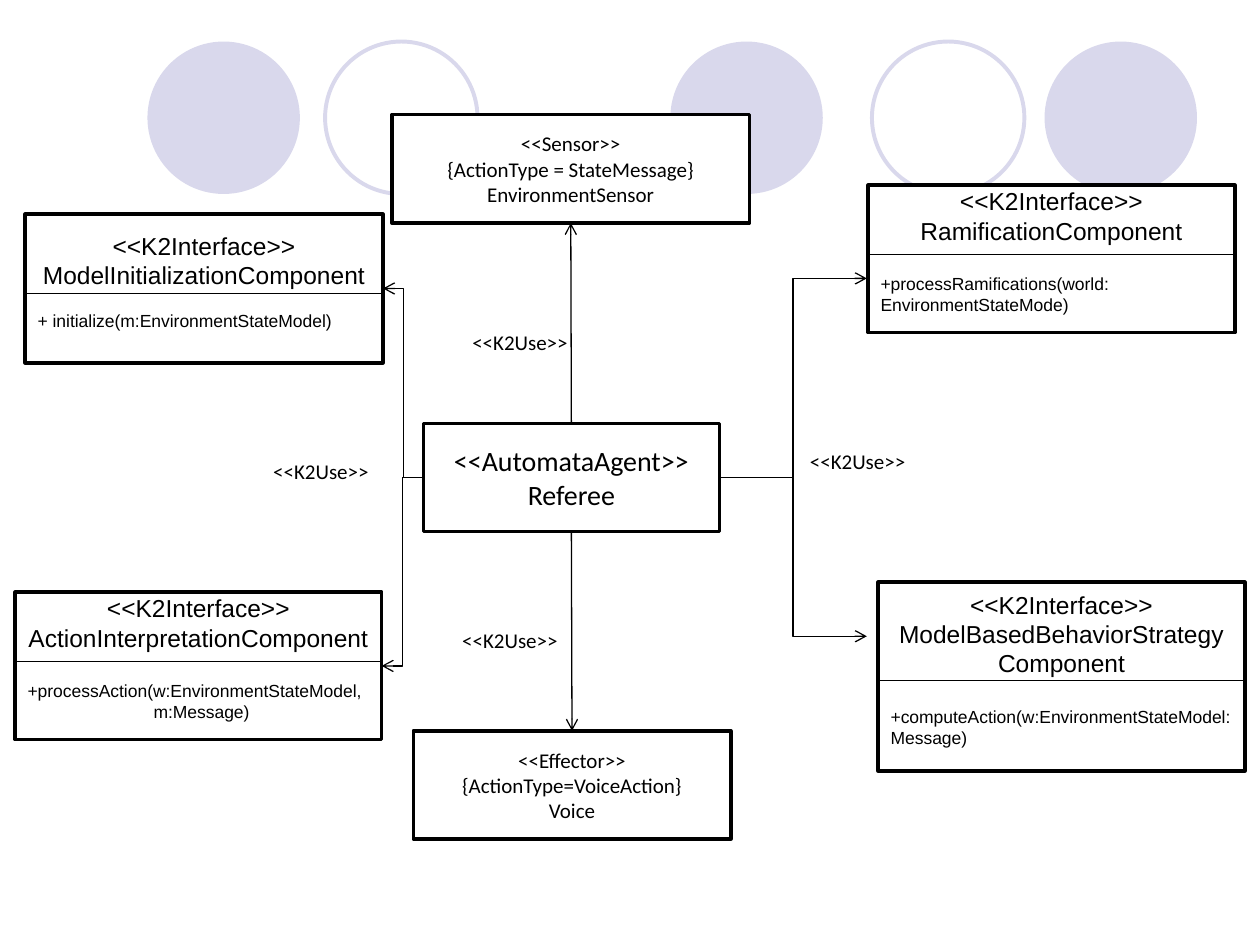
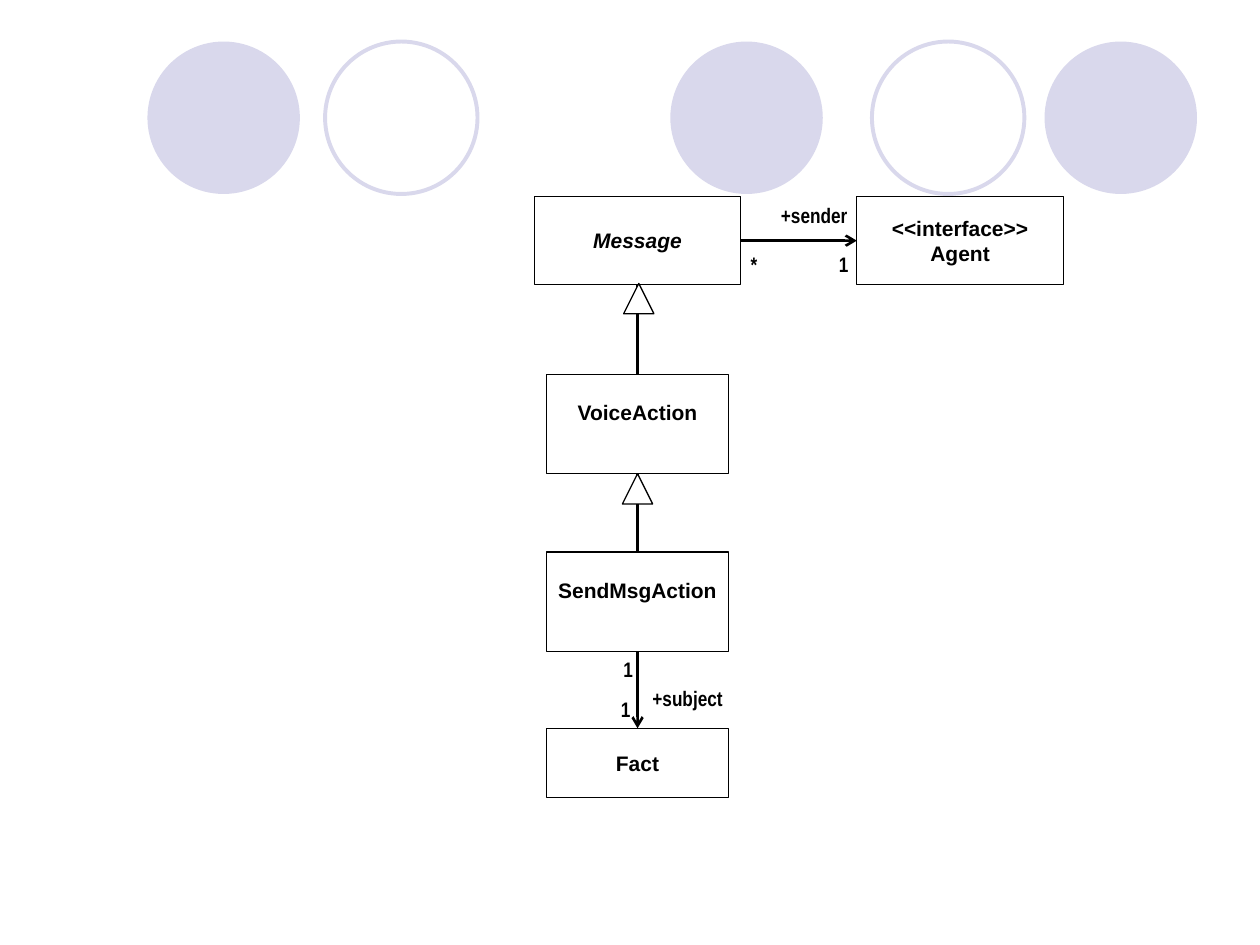
from lxml import etree
from pptx import Presentation
from pptx.dml.color import RGBColor
from pptx.enum.shapes import MSO_CONNECTOR, MSO_SHAPE
from pptx.enum.text import MSO_ANCHOR, PP_ALIGN
from pptx.oxml.ns import qn
from pptx.util import Pt

PX = 9144  # 100 px to the inch
BLACK = RGBColor(0, 0, 0)
WHITE = RGBColor(255, 255, 255)
LILAC = RGBColor(0xD9, 0xD8, 0xEC)
OVAL, RECT = MSO_SHAPE.OVAL, MSO_SHAPE.RECTANGLE
TRIANGLE = MSO_SHAPE.ISOSCELES_TRIANGLE
STRAIGHT, ELBOW = MSO_CONNECTOR.STRAIGHT, MSO_CONNECTOR.ELBOW
LEFT, CENTER = PP_ALIGN.LEFT, PP_ALIGN.CENTER
TOP, MIDDLE = MSO_ANCHOR.TOP, MSO_ANCHOR.MIDDLE
NORTH, WEST, SOUTH, EAST = range(4)


def box(page, spot, lines, font, size, width, kind=RECT):
    """Add a white shape with a black outline and centred lines of text."""
    shape = page.shapes.add_shape(kind, *[v * PX for v in spot])
    shape.shadow.inherit = False
    shape.fill.solid()
    shape.fill.fore_color.rgb = WHITE
    shape.line.color.rgb = BLACK
    shape.line.width = Pt(width)
    frame = shape.text_frame
    frame.vertical_anchor = MIDDLE
    frame.text = "\n".join(lines)
    for para in frame.paragraphs:
        para.alignment = CENTER
        para.font.name = font
        para.font.size = Pt(size)
        para.font.color.rgb = BLACK
    return shape


def wire(page, kind, start, end, width=0.75, arrow=True):
    """Join two ends, each a (shape, side) pair or an (x, y) point in px."""
    line = page.shapes.add_connector(kind, 0, 0, 0, 0)
    if isinstance(start[0], int):
        line.begin_x, line.begin_y = [v * PX for v in start]
    else:
        line.begin_connect(*start)
    if isinstance(end[0], int):
        line.end_x, line.end_y = [v * PX for v in end]
    else:
        line.end_connect(*end)
    line.line.color.rgb = BLACK
    line.line.width = Pt(width)
    if arrow:
        etree.SubElement(line.line._get_or_add_ln(), qn("a:tailEnd"), type="arrow")
    etree.SubElement(line._element.spPr, qn("a:effectLst"))


deck = Presentation()
deck.slide_width, deck.slide_height = 1000 * PX, 750 * PX
layout = deck.slide_layouts[6]
for holder in list(layout.placeholders):
    holder.element.getparent().remove(holder.element)
agents = deck.slides.add_slide(layout)
classes = deck.slides.add_slide(layout)

# Row of circles, moved to the shared layout
for x, filled in [(532, True), (829, True), (117, True), (692, False), (258, False)]:
    disc = agents.shapes.add_shape(OVAL, x * PX, 33 * PX, 121 * PX, 121 * PX)
    disc.shadow.inherit = False
    if filled:
        disc.fill.solid()
        disc.fill.fore_color.rgb = LILAC
        disc.line.fill.background()
    else:
        disc.fill.background()
        disc.line.color.rgb = LILAC
        disc.line.width = Pt(2.25)
    layout.shapes.element.append(disc.element)

# Slide 1: the referee agent and its components
sensor = box(agents, (311, 91, 284, 86),
             ["<<Sensor>>", "{ActionType = StateMessage}", "EnvironmentSensor"],
             "Calibri", 12, 2)
referee = box(agents, (336, 336, 235, 86), ["<<AutomataAgent>>", "Referee"],
              "Calibri", 16, 2)
voice = box(agents, (328, 580, 252, 86),
            ["<<Effector>>", "{ActionType=VoiceAction}", "Voice"],
            "Calibri", 12, 2)

# Each part: spot, top inset, rule height, gap in points, name, method
parts = [
    ((20, 170, 284, 118), 13, 233, 11.5, ["ModelInitializationComponent"],
     ["+ initialize(m:EnvironmentStateModel)"]),
    ((12, 470, 291, 117), 1, 525, 16, ["ActionInterpretationComponent"],
     ["+processAction(w:EnvironmentStateModel,", "m:Message)"]),
    ((689, 147, 291, 117), 1, 202, 16, ["RamificationComponent"],
     ["+processRamifications(world: EnvironmentStateMode)"]),
    ((697, 462, 291, 150), 6, 540, 16, ["ModelBasedBehaviorStrategy", "Component"],
     ["+computeAction(w:EnvironmentStateModel: Message)"]),
]
cards = []
for spot, inset, rule, gap, name, method in parts:
    head = ["<<K2Interface>>"] + name
    card = box(agents, spot, head + method, "Arial", 14, 2)
    frame = card.text_frame
    frame.vertical_anchor = TOP
    frame.margin_top = inset * PX
    rows = frame.paragraphs[len(head):]
    rows[0].space_before = Pt(gap)
    for row in rows:
        row.alignment = LEFT
        row.font.size = Pt(10)
    for row in rows[1:]:
        row._p.get_or_add_pPr().set("marL", str(100 * PX))
    x, y, w, h = spot
    wire(agents, STRAIGHT, (x, rule), (x + w, rule), arrow=False)
    cards.append(card)

wire(agents, STRAIGHT, (referee, NORTH), (sensor, SOUTH))
wire(agents, STRAIGHT, (referee, SOUTH), (voice, NORTH))
for card in cards[:2]:
    wire(agents, ELBOW, (referee, WEST), (card, EAST))
for y in (221, 505):
    wire(agents, ELBOW, (571, 379), (688, y))

# Slide 2: the message classes
nodes = {}
for lines, spot in [
    (["Message"], (424, 156, 164, 70)),
    (["<<interface>>", "Agent"], (680, 156, 164, 70)),
    (["VoiceAction"], (434, 297, 144, 79)),
    (["SendMsgAction"], (434, 438, 144, 79)),
    (["Fact"], (434, 578, 144, 55)),
]:
    node = box(classes, spot, lines, "Arial", 12, 0.75)
    node.text_frame.word_wrap = False
    for para in node.text_frame.paragraphs:
        para.font.bold = True
    nodes[lines[-1]] = node
nodes["Message"].text_frame.paragraphs[0].font.italic = True
for name in ("VoiceAction", "SendMsgAction"):
    nodes[name].text_frame.margin_bottom = 24 * PX

wire(classes, STRAIGHT, (nodes["Message"], EAST), (nodes["Agent"], WEST), 1.5)
wire(classes, STRAIGHT, (nodes["SendMsgAction"], SOUTH), (nodes["Fact"], NORTH), 1.5)
for child, base, x, y in [("VoiceAction", "Message", 495, 225),
                          ("SendMsgAction", "VoiceAction", 494, 376)]:
    wire(classes, STRAIGHT, (nodes[child], NORTH), (nodes[base], SOUTH), 1.5, False)
    box(classes, (x, y, 24, 24), [], "Arial", 12, 0.75, TRIANGLE)

# Labels beside the lines
use = "<<K2Use>>"
for page, font, bold, labels in [
    (agents, "Calibri", False, [
        (use, 365, 257, 96), (use, 357, 493, 96),
        (use, 633, 351, 96), (use, 207, 359, 96)]),
    (classes, "Arial Narrow", True, [
        ("+subject", 508, 539, 76), ("1", 483, 548, 27), ("1", 485, 516, 27),
        ("+sender", 610, 156, 73), ("1", 656, 195, 27), ("*", 586, 195, 25)]),
]:
    for text, x, y, w in labels:
        label = page.shapes.add_textbox(x * PX, y * PX, w * PX, 30 * PX)
        label.text_frame.text = text
        para = label.text_frame.paragraphs[0]
        para.font.name = font
        para.font.size = Pt(12)
        para.font.bold = bold
        para.font.color.rgb = BLACK

deck.save("out.pptx")
